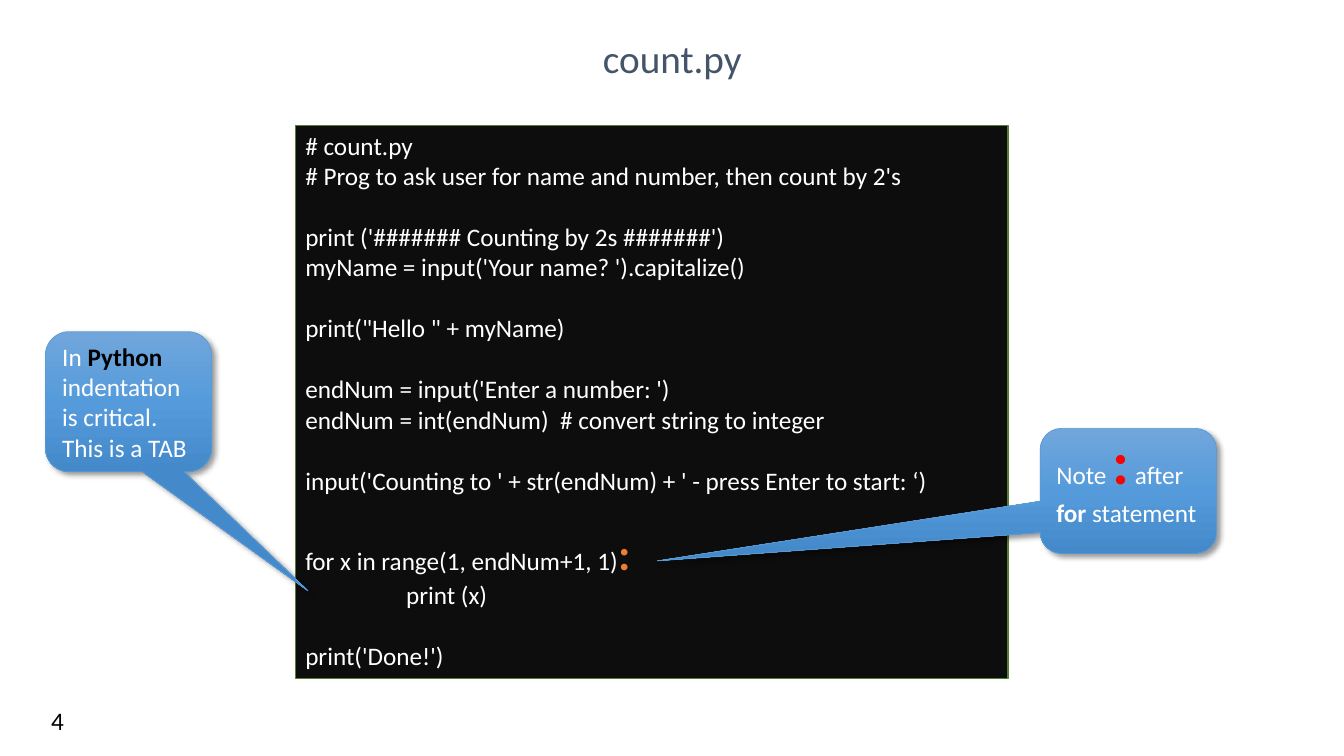
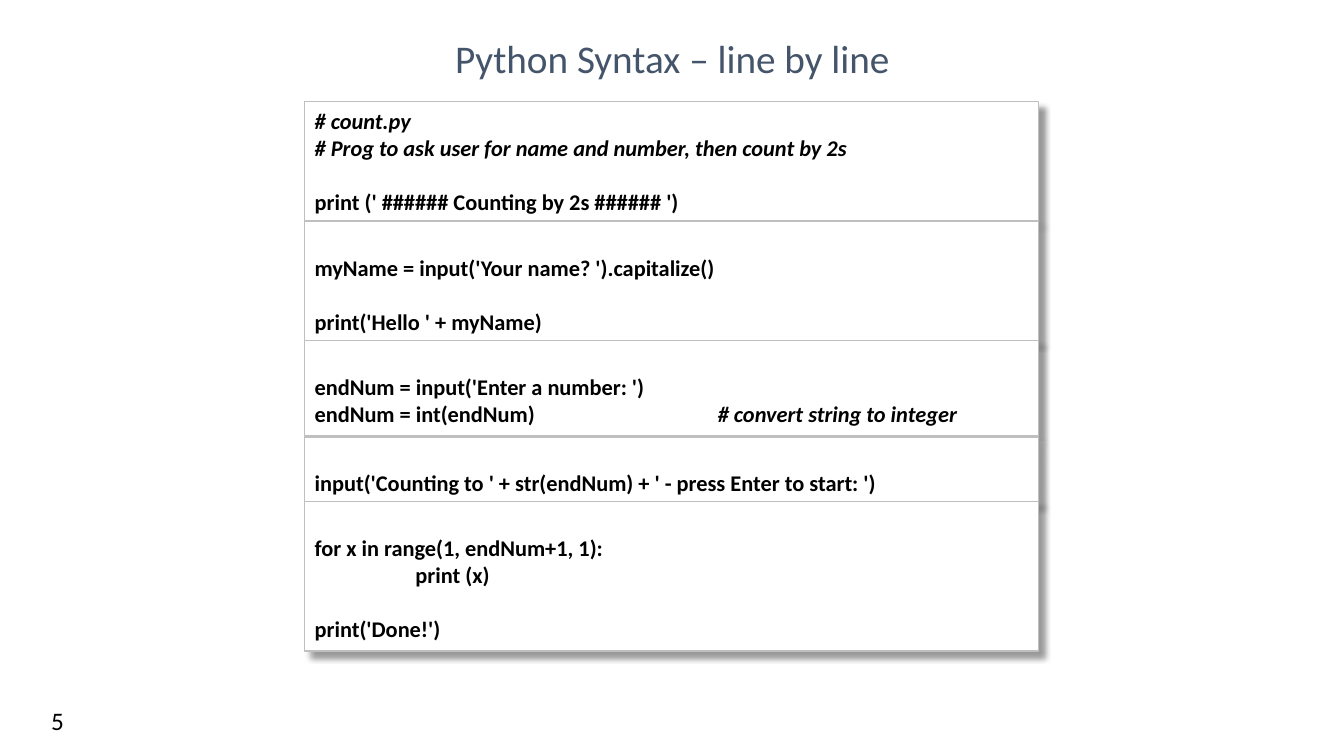
from dataclasses import dataclass
from typing import Any, Optional

import copy
import pptx
import pptx.dml.color
import pptx.enum.shapes
import pptx.enum.text
import pptx.oxml
import pptx.oxml.ns
import pptx.util

Pt = pptx.util.Pt
RGBColor = pptx.dml.color.RGBColor
Shapes = pptx.enum.shapes.MSO_SHAPE
Anchor = pptx.enum.text.MSO_ANCHOR
Align = pptx.enum.text.PP_ALIGN
qn = pptx.oxml.ns.qn

# Colours and shared measures
WHITE = RGBColor(0xFF, 0xFF, 0xFF)
BLACK = RGBColor(0x00, 0x00, 0x00)
SLATE = RGBColor(0x44, 0x54, 0x6A)
CONSOLE = RGBColor(0x0D, 0x0D, 0x0D)
GREEN = RGBColor(0x53, 0x80, 0x35)
ORANGE = RGBColor(0xED, 0x7D, 0x31)
RED = RGBColor(0xFF, 0x00, 0x00)
GREY = RGBColor(0xBF, 0xBF, 0xBF)
BLUE = RGBColor(0x5B, 0x9B, 0xD5)
BLUE_STOPS = (RGBColor(0x71, 0xA6, 0xDB), RGBColor(0x55, 0x9B, 0xDB),
              RGBColor(0x44, 0x8A, 0xCA))
FONT = "Calibri"
LINE_HEIGHT = 1.22
INSET = 3.6
TAB = 72


@dataclass(frozen=True)
class Run:
    text: str
    size: Optional[float] = None
    color: Optional[RGBColor] = None
    bold: Optional[bool] = None
    italic: Optional[bool] = None


@dataclass(frozen=True)
class Line:
    runs: tuple[Run, ...]
    gap: int = 0          # empty lines above
    tab: float = TAB      # tab stop


@dataclass(frozen=True)
class Box:
    left: float
    top: float
    width: float
    height: float

    def lengths(self) -> list[int]:
        return [Pt(v) for v in (self.left, self.top, self.width, self.height)]


@dataclass(frozen=True)
class TextStyle:
    size: float
    color: RGBColor
    bold: bool = False
    align: Any = Align.LEFT
    anchor: Any = Anchor.TOP
    spacing: float = 1.0


@dataclass(frozen=True)
class Callout:
    box: Box
    pointer: tuple[float, float, float]
    lines: tuple[Line, ...]
    below: int = 0        # empty lines kept under the text


@dataclass(frozen=True)
class CodeBlock:
    top: float
    height: float
    lines: tuple[Line, ...]


TITLE = TextStyle(28, SLATE, align=Align.CENTER, anchor=Anchor.MIDDLE, spacing=0.9)
NUMBER = TextStyle(18, BLACK)
CONSOLE_TEXT = TextStyle(18, WHITE)
CALLOUT_TEXT = TextStyle(18, WHITE, anchor=Anchor.MIDDLE)
BLOCK_TEXT = TextStyle(16, BLACK, bold=True)


def code(text: str, gap: int = 0, italic: bool = False) -> Line:
    return Line((Run(text, italic=italic),), gap)


# Drawing
def write(shape: Any, lines: tuple[Line, ...], style: TextStyle, below: int = 0) -> None:
    """Put lines in a shape; gaps at its edges become margins."""
    row = style.size * LINE_HEIGHT
    frame = shape.text_frame
    frame_format = {
        "word_wrap": True,
        "vertical_anchor": style.anchor,
        "margin_top": Pt(INSET + lines[0].gap * row),
        "margin_bottom": Pt(INSET + below * row),
    }
    for name, value in frame_format.items():
        setattr(frame, name, value)
    for index, line in enumerate(lines):
        paragraph = frame.add_paragraph() if index else frame.paragraphs[0]
        paragraph.alignment = style.align
        paragraph.line_spacing = style.spacing
        if index and line.gap:
            paragraph.space_before = Pt(line.gap * row)
        if any("\t" in run.text for run in line.runs):
            stops = pptx.oxml.parse_xml(
                f'<a:tabLst {pptx.oxml.ns.nsdecls("a")}>'
                f'<a:tab pos="{Pt(line.tab)}" algn="l"/></a:tabLst>')
            paragraph._p.get_or_add_pPr().append(stops)
        for part in line.runs:
            run = paragraph.add_run()
            run.text = part.text
            font_format = {
                "name": FONT,
                "size": Pt(part.size or style.size),
                "bold": style.bold if part.bold is None else part.bold,
                "italic": bool(part.italic),
            }
            for name, value in font_format.items():
                setattr(run.font, name, value)
            run.font.color.rgb = part.color or style.color


def add_label(slide: Any, box: Box, text: str, style: TextStyle) -> None:
    write(slide.shapes.add_textbox(*box.lengths()), (code(text),), style)


def add_panel(slide: Any, kind: Any, box: Box, outline: RGBColor, weight: float,
              shadow_distance: float = 0) -> Any:
    panel = slide.shapes.add_shape(kind, *box.lengths())
    panel.line.color.rgb = outline
    panel.line.width = Pt(weight)
    panel.shadow.inherit = False
    if shadow_distance:
        panel._element.spPr.find(qn("a:effectLst")).append(pptx.oxml.parse_xml(
            f'<a:outerShdw {pptx.oxml.ns.nsdecls("a")} blurRad="{Pt(4)}" '
            f'dist="{Pt(shadow_distance)}" dir="2700000" algn="tl" rotWithShape="0">'
            '<a:srgbClr val="000000"><a:alpha val="40000"/></a:srgbClr></a:outerShdw>'))
    return panel


def add_code(slide: Any, box: Box, lines: tuple[Line, ...], style: TextStyle,
             fill: RGBColor, outline: RGBColor, shadow_distance: float = 0) -> None:
    panel = add_panel(slide, Shapes.RECTANGLE, box, outline, 1, shadow_distance)
    panel.fill.solid()
    panel.fill.fore_color.rgb = fill
    write(panel, lines, style)


def add_callout(slide: Any, callout: Callout) -> None:
    bubble = add_panel(slide, Shapes.ROUNDED_RECTANGULAR_CALLOUT, callout.box, BLUE, 0.5, 3)
    for index, value in enumerate(callout.pointer):
        bubble.adjustments[index] = value
    bubble.fill.gradient()
    bubble.fill.gradient_angle = 270
    stop_list = bubble._element.spPr.find(qn("a:gradFill")).find(qn("a:gsLst"))
    stop_list.append(copy.deepcopy(stop_list[0]))
    for index, (stop, color) in enumerate(zip(bubble.fill.gradient_stops, BLUE_STOPS)):
        stop.color.rgb = color
        stop.position = index / 2
    write(bubble, callout.lines, CALLOUT_TEXT, callout.below)


def add_slide(deck: Any, title: str, number: int) -> Any:
    slide = deck.slides.add_slide(deck.slide_layouts[6])
    add_label(slide, Box(29.5, 500.4, 35.3, 28.8), str(number), NUMBER)
    add_label(slide, Box(110.9, 17.3, 738.7, 51.8), title, TITLE)
    return slide


# Content
PROGRAM = (
    code("# count.py"),
    code("# Prog to ask user for name and number, then count by 2's"),
    code("print ('####### Counting by 2s #######')", gap=1),
    code("myName = input('Your name? ').capitalize()"),
    code("print(\"Hello \" + myName)", gap=1),
    code("endNum = input('Enter a number: ')", gap=1),
    code("endNum = int(endNum)  # convert string to integer"),
    code("input('Counting to ' + str(endNum) + ' - press Enter to start: ‘)", gap=1),
    Line((Run("for x in range(1, endNum+1, 1)"),
          Run(":", size=32, color=ORANGE, bold=True)), gap=1),
    code("\tprint (x)"),
    code("print('Done!')", gap=1),
)

CALLOUTS = (
    Callout(Box(743, 306, 126, 89.3), (-2.67, 0.56, 0.17), (
        Line((Run("Note "), Run(":", size=44, color=RED, bold=True), Run(" after "),
              Run("for", bold=True), Run(" statement"))),
    ), below=1),
    Callout(Box(32.4, 236.9, 118.8, 100.1), (1.08, 1.35, 0.17), (
        Line((Run("In "), Run("Python ", color=BLACK, bold=True),
              Run("indentation is critical."))),
        code("This is a TAB"),
    )),
)

BLOCKS = (
    CodeBlock(72.7, 85, (
        code("# count.py", italic=True),
        code("# Prog to ask user for name and number, then count by 2s", italic=True),
        code("print (' ###### Counting by 2s ###### ')", gap=1),
    )),
    CodeBlock(158.4, 85, (
        code("myName = input('Your name? ').capitalize()", gap=1),
        code("print('Hello ' + myName)", gap=1),
    )),
    CodeBlock(243.4, 67.7, (
        code("endNum = input('Enter a number: ')", gap=1),
        Line((Run("endNum = int(endNum)\t"),
              Run("# convert string to integer", italic=True)), tab=4 * TAB),
    )),
    CodeBlock(312.2, 46.3, (
        code("input('Counting to ' + str(endNum) + ' - press Enter to start: ')", gap=1),
    )),
    CodeBlock(358.4, 106.6, (
        code("for x in range(1, endNum+1, 1):", gap=1),
        code("\tprint (x)"),
        code("print('Done!')", gap=1),
    )),
)


def main() -> None:
    deck = pptx.Presentation()
    deck.slide_width, deck.slide_height = Pt(960), Pt(540)

    # Whole program with callouts
    slide = add_slide(deck, "count.py", 4)
    add_code(slide, Box(211, 89.5, 509, 395), PROGRAM, CONSOLE_TEXT, CONSOLE, GREEN)
    for callout in CALLOUTS:
        add_callout(slide, callout)

    # Program split into blocks
    slide = add_slide(deck, "Python Syntax – line by line", 5)
    for block in BLOCKS:
        add_code(slide, Box(217.7, block.top, 524, block.height), block.lines,
                 BLOCK_TEXT, WHITE, GREY, shadow_distance=6)

    deck.save("out.pptx")


if __name__ == "__main__":
    main()
